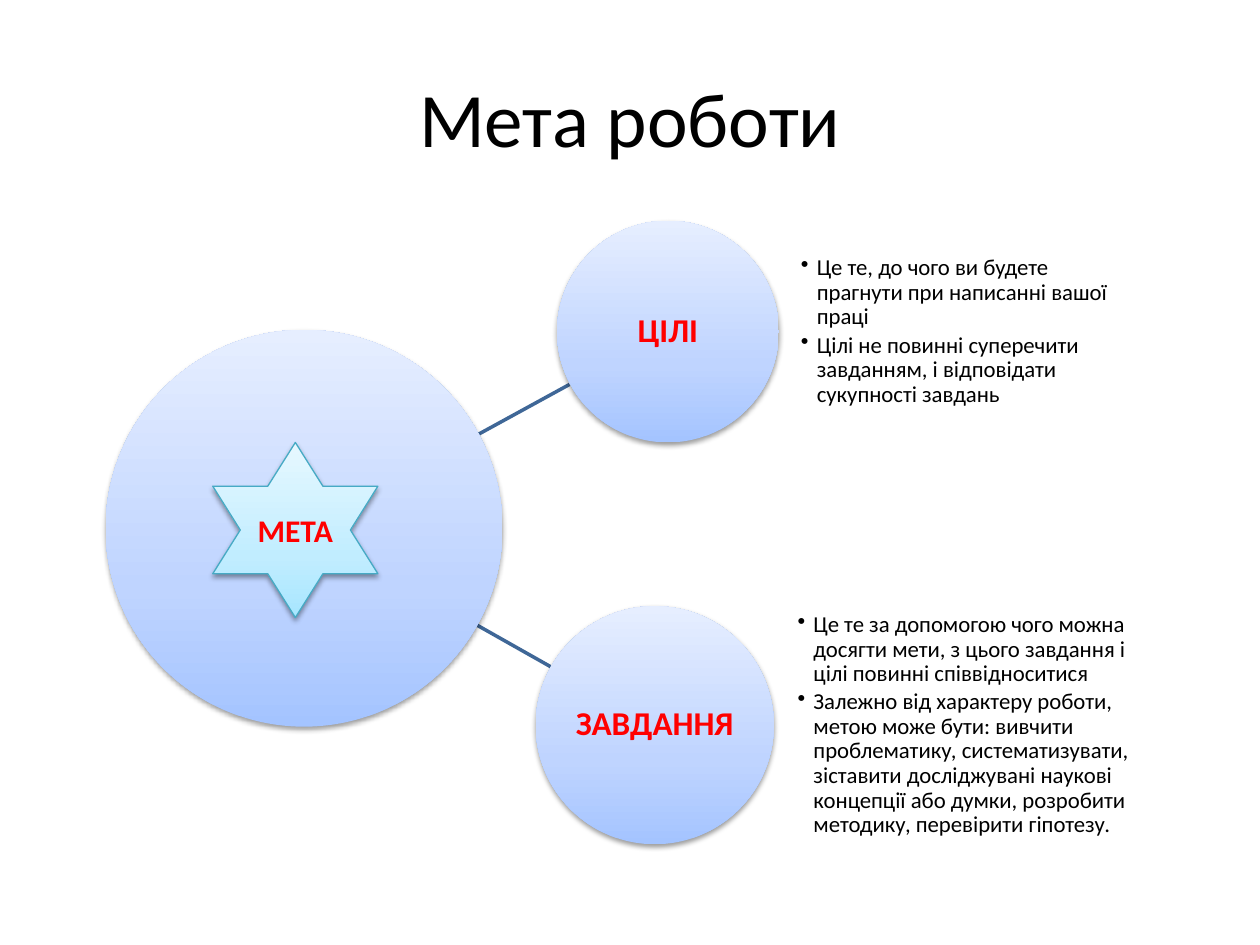
import pptx
import pptx.util
import pptx.dml.color
import pptx.enum.shapes
import pptx.enum.text
import pptx.oxml
import pptx.oxml.ns

Cm, Pt = pptx.util.Cm, pptx.util.Pt
SHAPE = pptx.enum.shapes.MSO_SHAPE
ALIGN = pptx.enum.text.PP_ALIGN
NS = pptx.oxml.ns.nsdecls("a")

COLORS = {"text": "000000", "label": "FF0000", "link": "3F6797", "star": "46AAC5"}
GRADIENTS = {
    "circle": {0: "A4C4FF", 35: "BFD4FF", 100: "E6EEFF"},
    "star": {0: "A7E6FF", 35: "C1EDFF", 100: "E7F8FF"},
}
TITLE = {"size": Pt(44)}
LABEL = {"size": Pt(19), "bold": True}
STAR = {"size": Pt(18), "bold": True}
BODY = {"size": Pt(13)}
CENTER = {"alignment": ALIGN.CENTER}
ITEM = {"alignment": ALIGN.LEFT, "line_spacing": 0.9, "space_after": Pt(2)}

GOALS = [
    "Це те, до чого ви будете прагнути при написанні вашої праці",
    "Цілі не повинні суперечити завданням, і відповідати сукупності завдань",
]
TASKS = [
    "Це те за допомогою чого можна досягти мети, з цього завдання і цілі повинні співвідноситися",
    "Залежно від характеру роботи, метою може бути: вивчити проблематику, систематизувати, "
    "зіставити досліджувані наукові концепції або думки, розробити методику, перевірити гіпотезу.",
]


def rgb(name):
    return pptx.dml.color.RGBColor.from_string(COLORS[name])


def set_all(obj, values):
    for name, value in values.items():
        setattr(obj, name, value)


def write(sp, lines, font, para, color, inset):
    tf = sp.text_frame
    sides = ("left", "top", "right", "bottom")
    set_all(tf, {f"margin_{side}": Cm(inset) for side in sides})
    set_all(tf, {"word_wrap": True, "vertical_anchor": pptx.enum.text.MSO_ANCHOR.MIDDLE})
    for i, line in enumerate(lines):
        p = tf.add_paragraph() if i else tf.paragraphs[0]
        set_all(p, para)
        r = p.add_run()
        r.text = line
        set_all(r.font, {"name": "Calibri", **font})
        r.font.color.rgb = rgb(color)
    return tf


def add_text(s, box, *args):
    return write(s.shapes.add_textbox(*map(Cm, box)), *args)


def add_glossy(s, kind, box, gradient):
    sp = s.shapes.add_shape(kind, *map(Cm, box))
    sp.fill.background()
    sp.line.fill.background()
    stops = "".join(
        f'<a:gs pos="{pos * 1000}"><a:srgbClr val="{color}"/></a:gs>'
        for pos, color in GRADIENTS[gradient].items()
    )
    grad = pptx.oxml.parse_xml(
        f'<a:gradFill {NS} rotWithShape="1"><a:gsLst>{stops}</a:gsLst>'
        '<a:lin ang="16200000" scaled="0"/></a:gradFill>'
    )
    shadow = pptx.oxml.parse_xml(
        f'<a:effectLst {NS}><a:outerShdw blurRad="{Pt(3.1)}" dist="{Pt(1.6)}" dir="5400000" '
        'rotWithShape="0"><a:srgbClr val="000000"><a:alpha val="38000"/></a:srgbClr>'
        "</a:outerShdw></a:effectLst>"
    )
    spPr = sp.element.spPr
    spPr.replace(spPr.find(pptx.oxml.ns.qn("a:noFill")), grad)
    spPr.append(shadow)
    return sp


def add_title(s, box):
    add_text(s, box, ["Мета роботи"], TITLE, CENTER, "text", 0.25)


def add_link(s, *ends):
    cxn = s.shapes.add_connector(pptx.enum.shapes.MSO_CONNECTOR.STRAIGHT, *map(Cm, ends))
    cxn.line.color.rgb = rgb("link")
    cxn.line.width = Pt(2)
    cxn.element.spPr.append(pptx.oxml.parse_xml(f"<a:effectLst {NS}/>"))


def add_core(s, x, y, d):
    add_glossy(s, SHAPE.OVAL, (x, y, d, d), "circle")
    star = add_glossy(s, SHAPE.STAR_6_POINT, (x + 2.16, y + 2.27, 3.33, 3.53), "star")
    star.line.color.rgb = rgb("star")
    star.line.width = Pt(0.75)
    write(star, ["МЕТА"], STAR, CENTER, "label", 0).word_wrap = False


def add_branch(s, x, y, d, label, items):
    circle = add_glossy(s, SHAPE.OVAL, (x, y, d, d), "circle")
    write(circle, [label], LABEL, {**CENTER, "line_spacing": 0.9}, "label", 0.03)
    tf = add_text(s, (x + 1.1 * d, y, 1.5 * d, d), items, BODY, ITEM, "text", 0)
    for p in tf.paragraphs:
        pPr = p._p.get_or_add_pPr()
        pPr.set("marL", str(Cm(0.32)))
        pPr.set("indent", str(-Cm(0.32)))
        pPr.append(pptx.oxml.parse_xml(f'<a:buChar {NS} char="•"/>'))


def main():
    prs = pptx.Presentation()
    prs.slide_width, prs.slide_height = Cm(25.4), Cm(19.05)
    s = prs.slides.add_slide(prs.slide_layouts[6])
    add_title(s, (1.27, 0.76, 22.86, 3.18))
    add_link(s, 8.94, 12.22, 11.1, 13.44)
    add_link(s, 8.94, 9.14, 11.48, 7.75)
    add_core(s, 2.13, 6.65, 8)
    add_branch(s, 11.23, 4.45, 4.47, "ЦІЛІ", GOALS)
    add_branch(s, 10.8, 12.22, 4.8, "ЗАВДАННЯ", TASKS)
    prs.save("out.pptx")


if __name__ == "__main__":
    main()
